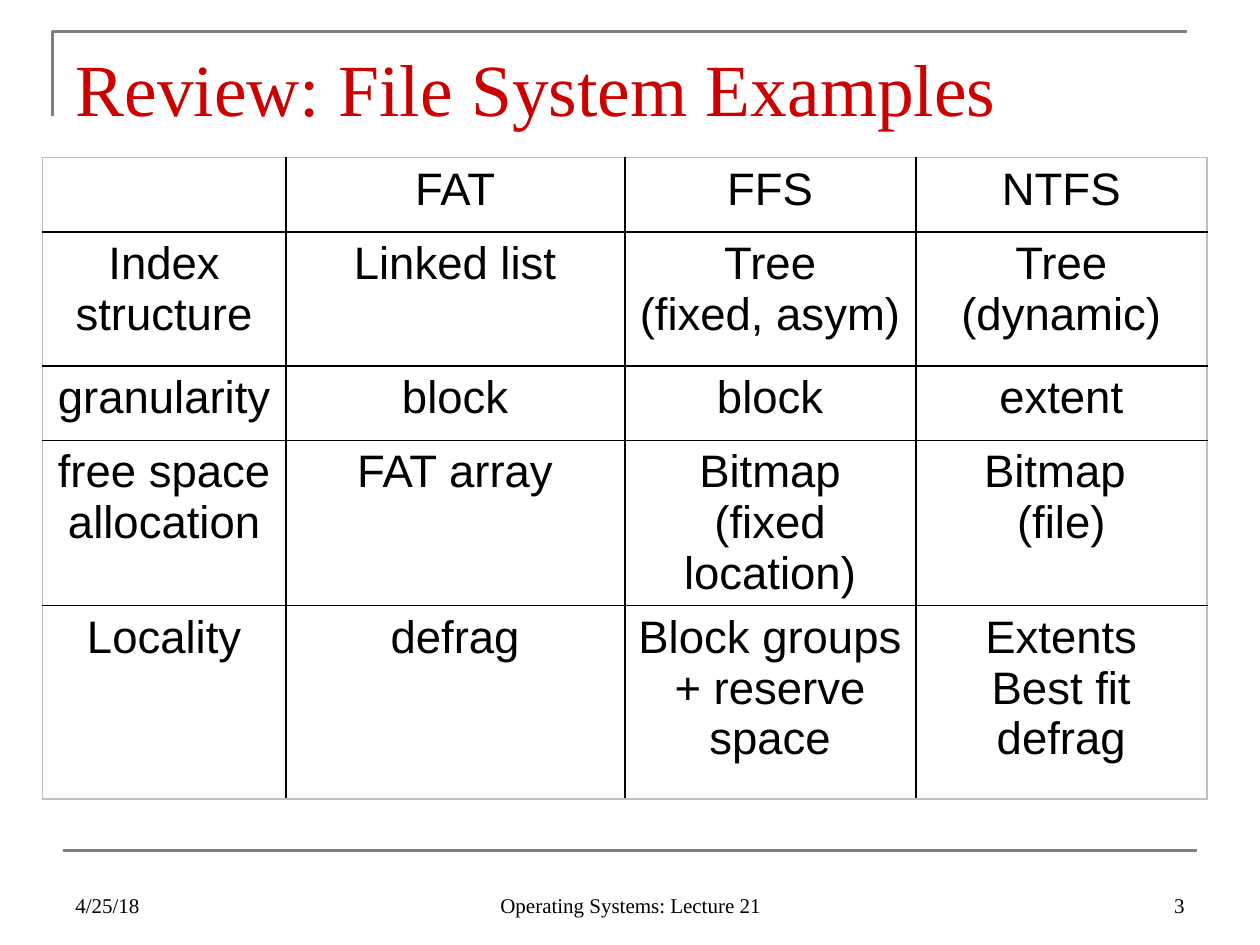
import pptx
import pptx.dml.color
import pptx.enum.shapes
import pptx.enum.text
import pptx.oxml
import pptx.oxml.ns
import pptx.util
from pptx.util import Cm

RGBColor = pptx.dml.color.RGBColor
ALIGN = pptx.enum.text.PP_ALIGN
ANCHOR = pptx.enum.text.MSO_ANCHOR

BLACK = RGBColor(0x00, 0x00, 0x00)
RED = RGBColor(0xCC, 0x00, 0x00)
GRAY = RGBColor(0x80, 0x80, 0x80)
LIGHT_GRAY = RGBColor(0xC0, 0xC0, 0xC0)
SERIF = "Times New Roman"
SANS = "Arial"

TITLE = "Review: File System Examples"
# A line break in a cell starts a new paragraph.
ROWS = [
    ["", "FAT", "FFS", "NTFS"],
    ["Index structure", "Linked list", "Tree\n(fixed, asym)", "Tree\n(dynamic)"],
    ["granularity", "block", "block", "extent"],
    ["free space\nallocation", "FAT array", "Bitmap\n(fixed location)", "Bitmap \n(file)"],
    ["Locality", "defrag", "Block groups + reserve space", "Extents\nBest fit\ndefrag"],
]
COLUMN_WIDTHS = [4.9, 6.83, 5.87, 5.87]
ROW_HEIGHTS = [1.5, 2.7, 1.5, 2.7, 3.9]
FOOTERS = [  # text, left, width, alignment
    ("4/25/18", 1.27, 5.92, ALIGN.LEFT),
    ("Operating Systems: Lecture 21", 8.69, 8.05, ALIGN.CENTER),
    ("3", 18.21, 5.92, ALIGN.RIGHT),
]


def write(text_frame, text, font_name, size, color, alignment):
    for index, line in enumerate(text.split("\n")):
        paragraph = text_frame.paragraphs[0] if index == 0 else text_frame.add_paragraph()
        paragraph.alignment = alignment
        run = paragraph.add_run()
        run.text = line
        run.font.name = font_name
        run.font.size = pptx.util.Pt(size)
        run.font.color.rgb = color


def set_borders(cell, borders):
    """Give each named side (L, R, T, B) its line width in points and colour."""
    properties = cell._tc.get_or_add_tcPr()
    for index, (side, (width, color)) in enumerate(borders.items()):
        properties.insert(index, pptx.oxml.parse_xml(
            f'<a:ln{side} {pptx.oxml.ns.nsdecls("a")} w="{pptx.util.Pt(width)}">'
            f'<a:solidFill><a:srgbClr val="{color}"/></a:solidFill></a:ln{side}>'))


def add_rules(slide):
    builder = slide.shapes.build_freeform(Cm(1.06), Cm(2.33))
    builder.add_line_segments([(Cm(1.06), Cm(0.64)), (Cm(23.92), Cm(0.64))], close=False)
    corner = builder.convert_to_shape()
    corner.fill.background()
    corner.shadow.inherit = False
    bottom = slide.shapes.add_connector(
        pptx.enum.shapes.MSO_CONNECTOR.STRAIGHT, Cm(1.27), Cm(17.15), Cm(24.13), Cm(17.15))
    bottom._element.spPr.append(
        pptx.oxml.parse_xml(f'<a:effectLst {pptx.oxml.ns.nsdecls("a")}/>'))
    for rule in (corner, bottom):
        rule.line.color.rgb = GRAY
        rule.line.width = pptx.util.Pt(1.5)


def add_title(slide):
    title = slide.shapes.title
    title.left, title.top, title.width, title.height = Cm(1.27), Cm(0.76), Cm(22.86), Cm(1.98)
    title.text_frame.vertical_anchor = ANCHOR.MIDDLE
    title.text_frame.auto_size = pptx.enum.text.MSO_AUTO_SIZE.NONE
    write(title.text_frame, TITLE, SERIF, 42, RED, ALIGN.LEFT)


def add_comparison(slide):
    table = slide.shapes.add_table(
        len(ROWS), len(COLUMN_WIDTHS), Cm(0.86), Cm(3.18),
        Cm(sum(COLUMN_WIDTHS)), Cm(sum(ROW_HEIGHTS))).table
    table.first_row = table.horz_banding = False
    for column, width in zip(table.columns, COLUMN_WIDTHS):
        column.width = Cm(width)
    for row, height in zip(table.rows, ROW_HEIGHTS):
        row.height = Cm(height)

    edge, vertical, horizontal = (1, LIGHT_GRAY), (1.25, BLACK), (1, BLACK)
    last_row, last_column = len(ROWS) - 1, len(COLUMN_WIDTHS) - 1
    for i, texts in enumerate(ROWS):
        for j, text in enumerate(texts):
            cell = table.cell(i, j)
            cell.fill.background()
            set_borders(cell, {
                "L": edge if j == 0 else vertical,
                "R": edge if j == last_column else vertical,
                "T": edge if i == 0 else horizontal,
                "B": edge if i == last_row else horizontal,
            })
            if text:
                write(cell.text_frame, text, SANS, 26, BLACK, ALIGN.CENTER)


def add_footers(slide):
    for text, left, width, alignment in FOOTERS:
        box = slide.shapes.add_textbox(Cm(left), Cm(17.35), Cm(width), Cm(1.27))
        box.text_frame.word_wrap = True
        box.text_frame.vertical_anchor = ANCHOR.BOTTOM
        write(box.text_frame, text, SERIF, 12, BLACK, alignment)


def main():
    presentation = pptx.Presentation()
    presentation.slide_width, presentation.slide_height = Cm(25.4), Cm(19.05)
    slide = presentation.slides.add_slide(presentation.slide_layouts[5])
    add_rules(slide)
    add_title(slide)
    add_comparison(slide)
    add_footers(slide)
    presentation.save("out.pptx")


if __name__ == "__main__":
    main()
